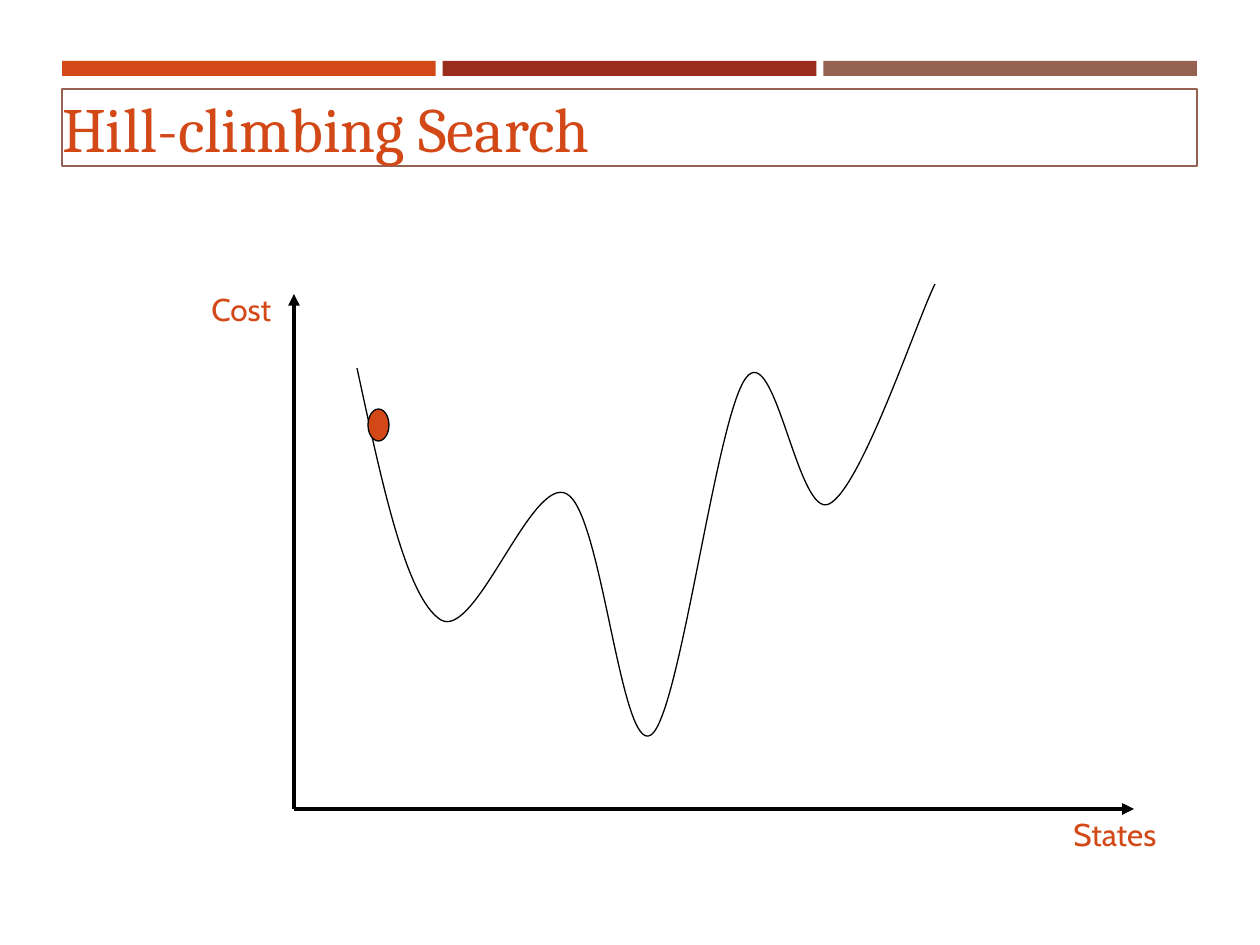
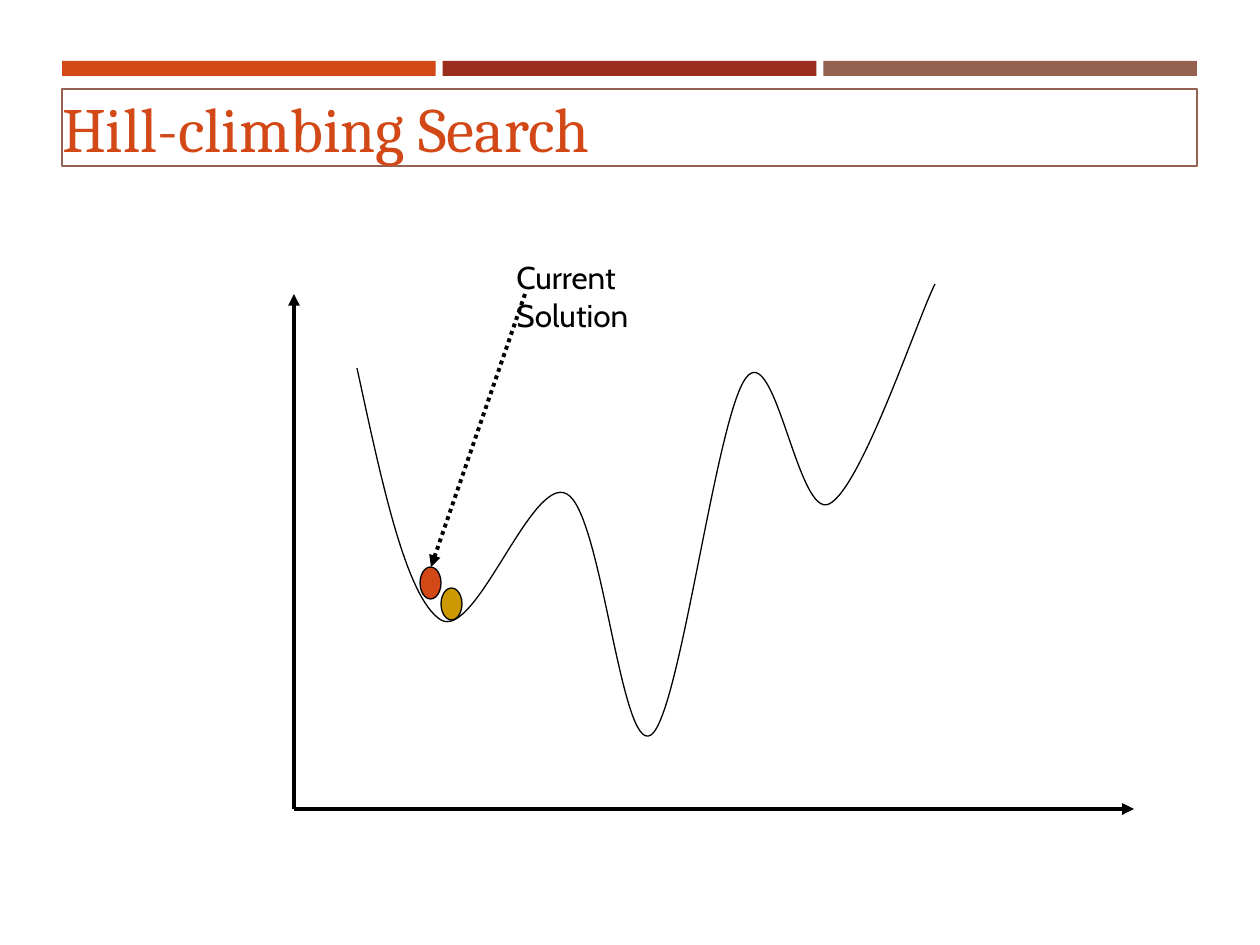
"""Build two slides that show hill-climbing search on a cost curve."""
from lxml.etree import SubElement
from pptx import Presentation
from pptx.dml.color import RGBColor
from pptx.enum.dml import MSO_LINE
from pptx.enum.shapes import MSO_CONNECTOR, MSO_SHAPE
from pptx.enum.text import MSO_ANCHOR, MSO_AUTO_SIZE, PP_ALIGN
from pptx.oxml.ns import qn
from pptx.util import Pt

PX = 914400 / 126
ORANGE, RED, BROWN, GOLD, BLACK = "D34817", "9B2D1F", "956251", "CC9900", "000000"

LEFT, SPAN = 62, 1135
BANDS, BAND_TOP, BAND_HIGH, GAP = (ORANGE, RED, BROWN), 61, 15, 7
TITLE_BOX = (LEFT, 89, SPAN, 77)
ORIGIN, TIPS = (294, 809), ((1134, 809), (294, 294))
DOT = (21, 32)
START = (357, 368)
CURVE = [
    (382, 483), (406, 598), (441, 620),
    (476, 640), (532, 474), (567, 494),
    (602, 513), (621, 755), (651, 735),
    (680, 716), (716, 417), (746, 378),
    (775, 339), (798, 519), (829, 504),
    (861, 489), (917, 320), (935, 284),
]
SLIDES = [
    {
        "title": "Hill-climbing Search",
        "dots": [((368, 409), ORANGE)],
        "hints": [],
        "labels": [
            ("Cost", (199, 284, 136, 50), ORANGE),
            ("States", (1061, 809, 147, 50), ORANGE),
        ],
    },
    {
        "title": "Hill-climbing Search",
        "dots": [((441, 588), GOLD), ((420, 567), ORANGE)],
        "hints": [((525, 294), (431, 567))],
        "labels": [("Current Solution", (504, 252, 147, 88), BLACK)],
    },
]
FRAME = {"word_wrap": True, "auto_size": MSO_AUTO_SIZE.NONE}
TITLE_FRAME = {
    **FRAME, "vertical_anchor": MSO_ANCHOR.MIDDLE,
    "margin_left": 0, "margin_right": 0, "margin_top": 0, "margin_bottom": 0,
}
TITLE_FONT = {"name": "Cambria", "size": Pt(36)}
LABEL_FONT = {"name": "Cabin", "size": Pt(18)}


def emu(nums):
    return [round(n * PX) for n in nums]


def rgb(code):
    return RGBColor.from_string(code)


def apply(item, form):
    for key, value in form.items():
        setattr(item, key, value)


def ink(line, color, width):
    line.fill.solid()
    line.fill.fore_color.rgb = rgb(color)
    line.width = Pt(width)


def write(shape, text, frame, font, color):
    body = shape.text_frame
    body.text = text
    apply(body, frame)
    para = body.paragraphs[0]
    para.alignment = PP_ALIGN.LEFT
    apply(para.runs[0].font, font)
    para.runs[0].font.color.rgb = rgb(color)


def block(slide, kind, box, color):
    shape = slide.shapes.add_shape(kind, *emu(box))
    shape.shadow.inherit = False
    shape.fill.solid()
    shape.fill.fore_color.rgb = rgb(color)
    shape.line.fill.background()
    return shape


def arrow(slide, start, end, dash=None):
    link = slide.shapes.add_connector(MSO_CONNECTOR.STRAIGHT, *emu(start + end))
    ink(link.line, BLACK, 2.25)
    if dash:
        link.line.dash_style = dash
    SubElement(link.line._get_or_add_ln(), qn("a:tailEnd"), type="triangle")
    SubElement(link._element.spPr, qn("a:effectLst"))


def curve(slide):
    draft = slide.shapes.build_freeform(*emu(START), scale=1.0)
    draft.add_line_segments([emu(spot) for spot in CURVE], close=False)
    shape = draft.convert_to_shape()
    shape.shadow.inherit = False
    shape.fill.background()
    ink(shape.line, BLACK, 0.75)
    trail = shape._element.find(".//" + qn("a:path"))
    steps = trail.findall(qn("a:lnTo"))
    for i in range(0, len(steps), 3):
        bend = SubElement(trail, qn("a:cubicBezTo"))
        for step in steps[i:i + 3]:
            bend.append(step[0])
            trail.remove(step)


def head(slide, text):
    wide = (SPAN - GAP * (len(BANDS) - 1)) / len(BANDS)
    for i, color in enumerate(BANDS):
        box = (LEFT + i * (wide + GAP), BAND_TOP, wide, BAND_HIGH)
        block(slide, MSO_SHAPE.RECTANGLE, box, color)
    title = slide.shapes.title
    apply(title, dict(zip(("left", "top", "width", "height"), emu(TITLE_BOX))))
    ink(title.line, BROWN, 1)
    write(title, text, TITLE_FRAME, TITLE_FONT, ORANGE)


def build(deck, data):
    slide = deck.slides.add_slide(deck.slide_layouts[5])
    head(slide, data["title"])
    for tip in TIPS:
        arrow(slide, ORIGIN, tip)
    curve(slide)
    for spot, color in data["dots"]:
        dot = block(slide, MSO_SHAPE.OVAL, spot + DOT, color)
        ink(dot.line, BLACK, 0.75)
    for start, end in data["hints"]:
        arrow(slide, start, end, MSO_LINE.ROUND_DOT)
    for text, box, color in data["labels"]:
        label = slide.shapes.add_textbox(*emu(box))
        write(label, text, FRAME, LABEL_FONT, color)


def main():
    deck = Presentation()
    deck.slide_width, deck.slide_height = emu((1260, 945))
    for data in SLIDES:
        build(deck, data)
    deck.save("out.pptx")


if __name__ == "__main__":
    main()
